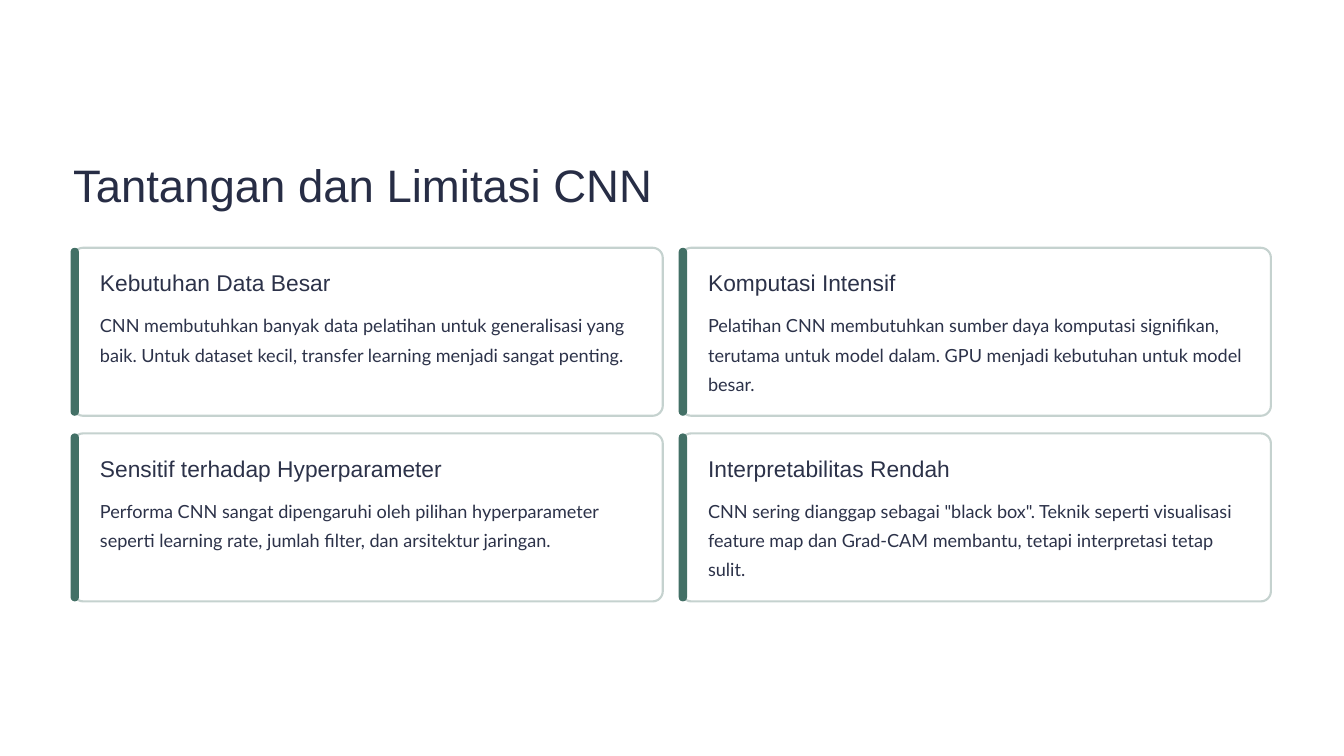
from pptx import Presentation
from pptx.dml.color import RGBColor
from pptx.enum.shapes import MSO_SHAPE
from pptx.util import Inches, Pt

TITLE = "Tantangan dan Limitasi CNN"
CHALLENGES = [
    ("Kebutuhan Data Besar",
     "CNN membutuhkan banyak data pelatihan untuk generalisasi yang baik. "
     "Untuk dataset kecil, transfer learning menjadi sangat penting."),
    ("Komputasi Intensif",
     "Pelatihan CNN membutuhkan sumber daya komputasi signifikan, terutama "
     "untuk model dalam. GPU menjadi kebutuhan untuk model besar."),
    ("Sensitif terhadap Hyperparameter",
     "Performa CNN sangat dipengaruhi oleh pilihan hyperparameter seperti "
     "learning rate, jumlah filter, dan arsitektur jaringan."),
    ("Interpretabilitas Rendah",
     'CNN sering dianggap sebagai "black box". Teknik seperti visualisasi '
     "feature map dan Grad-CAM membantu, tetapi interpretasi tetap sulit."),
]

WHITE = RGBColor(0xFF, 0xFF, 0xFF)
NAVY = RGBColor(0x27, 0x2D, 0x45)
SLATE = RGBColor(0x2C, 0x32, 0x49)
GREEN = RGBColor(0x43, 0x70, 0x66)
PALE_GREEN = RGBColor(0xC5, 0xD2, 0xCF)

# name: (font format, line spacing in points)
STYLES = {
    "title": ({"name": "Arial", "size": Pt(39)}, NAVY, 48.5),
    "heading": ({"name": "Arial", "size": Pt(19.5)}, SLATE, 24),
    "body": ({"name": "Lato", "size": Pt(15.5)}, SLATE, 25),
}

COLUMNS = 2
LEFT, TOP = 0.87, 2.95
CARD_WIDTH, CARD_HEIGHT = 7.02, 2
COLUMN_STEP, ROW_STEP = 7.24, 2.21
TEXT_INSET, TEXT_WIDTH = 0.32, 6.46


def add_text(slide, text, style, left, top, width, height):
    box = slide.shapes.add_textbox(*map(Inches, (left, top, width, height)))
    frame = box.text_frame
    margins = ("margin_left", "margin_top", "margin_right", "margin_bottom")
    for name, value in {"word_wrap": True, **dict.fromkeys(margins, 0)}.items():
        setattr(frame, name, value)
    font_format, color, spacing = STYLES[style]
    paragraph = frame.paragraphs[0]
    paragraph.text = text
    paragraph.line_spacing = Pt(spacing)
    for name, value in font_format.items():
        setattr(paragraph.runs[0].font, name, value)
    paragraph.runs[0].font.color.rgb = color


def add_rounded(slide, left, top, width, height, corner, fill, outline=None):
    shape = slide.shapes.add_shape(
        MSO_SHAPE.ROUNDED_RECTANGLE, *map(Inches, (left, top, width, height)))
    shape.adjustments[0] = corner
    shape.shadow.inherit = False
    shape.fill.solid()
    shape.fill.fore_color.rgb = fill
    if outline is None:
        shape.line.fill.background()
    else:
        shape.line.color.rgb = outline
        shape.line.width = Pt(1.8)


def add_card(slide, heading, body, left, top):
    add_rounded(slide, left, top, CARD_WIDTH, CARD_HEIGHT, 0.06, WHITE, PALE_GREEN)
    add_rounded(slide, left - 0.03, top, 0.1, CARD_HEIGHT, 0.5, GREEN)
    text_left = left + TEXT_INSET
    add_text(slide, heading, "heading", text_left, top + 0.24, TEXT_WIDTH, 0.34)
    add_text(slide, body, "body", text_left, top + 0.71, TEXT_WIDTH, 1.04)


def main():
    deck = Presentation()
    deck.slide_width, deck.slide_height = Inches(16), Inches(9)
    slide = deck.slides.add_slide(deck.slide_layouts[6])
    slide.background.fill.solid()
    slide.background.fill.fore_color.rgb = WHITE

    add_text(slide, TITLE, "title", LEFT, 1.84, 14.26, 0.68)
    for index, (heading, body) in enumerate(CHALLENGES):
        row, column = divmod(index, COLUMNS)
        add_card(slide, heading, body,
                 LEFT + column * COLUMN_STEP, TOP + row * ROW_STEP)
    deck.save("out.pptx")


if __name__ == "__main__":
    main()
